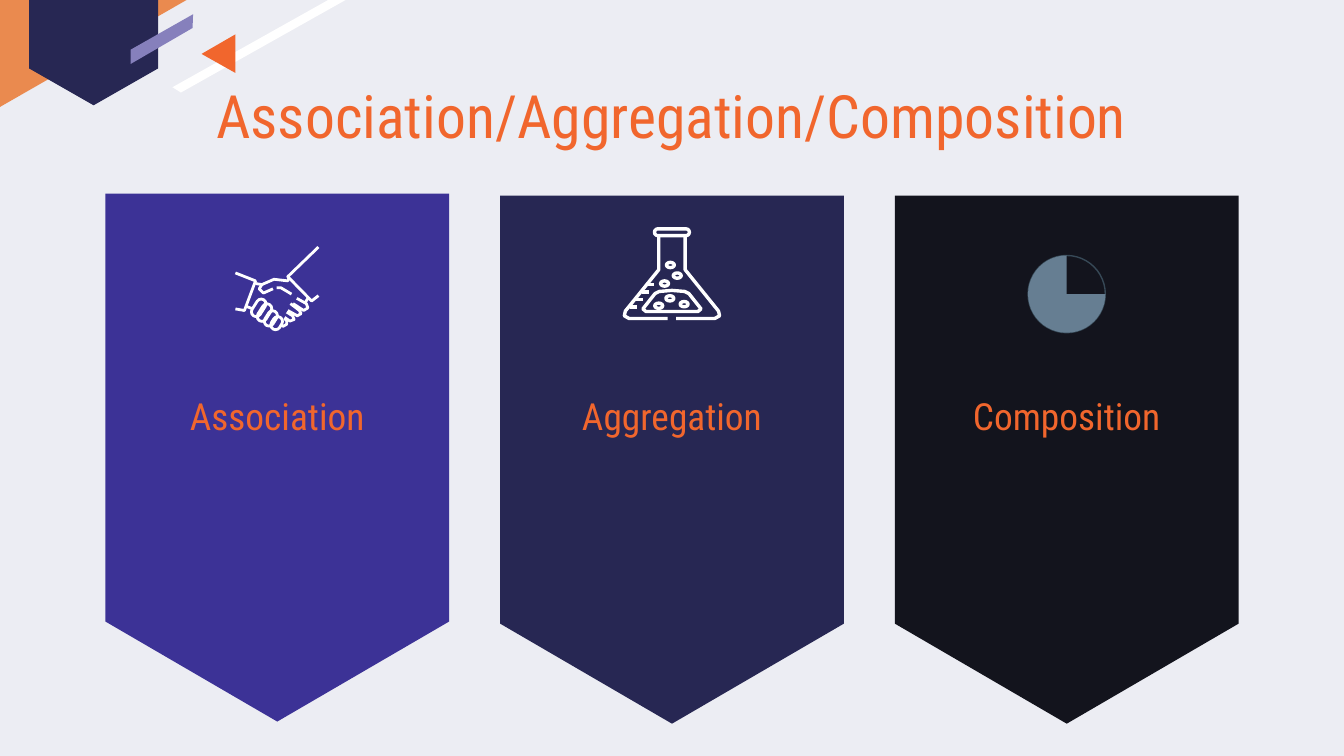
from dataclasses import dataclass
from math import cos, radians, sin

from lxml.etree import SubElement
from pptx import Presentation
from pptx.dml.color import RGBColor
from pptx.enum.shapes import MSO_SHAPE as SHAPE
from pptx.enum.text import MSO_ANCHOR as ANCHOR, MSO_AUTO_SIZE as FIT, PP_ALIGN as ALIGN
from pptx.oxml.ns import qn
from pptx.util import Cm, Pt


@dataclass(frozen=True)
class Theme:
    font: str = "Roboto Condensed"
    title_size: int = 32
    caption_size: int = 20
    paper: str = "ECEDF3"
    white: str = "FFFFFF"
    orange: str = "F1662D"
    apricot: str = "EA8A4F"
    lilac: str = "8680BC"
    violet: str = "3C3296"
    navy: str = "272753"
    black: str = "13141D"
    steel: str = "667E92"
    slate: str = "374957"


def write(tf, text, *, font, size, color, anchor, inset):
    tf.word_wrap = True
    tf.auto_size = FIT.NONE
    tf.vertical_anchor = anchor
    tf.margin_left = tf.margin_right = Cm(0.25)
    tf.margin_top = tf.margin_bottom = Cm(inset)
    p = tf.paragraphs[0]
    p.alignment = ALIGN.CENTER
    p.space_before = Pt(0)
    p.line_spacing = 1.0
    pPr = p._p.get_or_add_pPr()
    pPr.set("marL", "0")
    pPr.set("indent", "0")
    SubElement(pPr, qn("a:buNone"))
    r = p.add_run()
    r.text = text
    r.font.name = font
    r.font.size = Pt(size)
    r.font.bold = False
    r.font.color.rgb = RGBColor.from_string(color)


def capsule(cx, cy, length, width, turn):
    radius, reach = width / 2, (length - width) / 2
    points = []
    for side in (1, -1):
        x = cx + side * reach * cos(radians(turn))
        y = cy + side * reach * sin(radians(turn))
        for step in range(-90, 91, 30):
            angle = radians(turn + step)
            points.append((x + side * radius * cos(angle), y + side * radius * sin(angle)))
    return points + points[:1]


class Deck:
    def __init__(self, theme):
        self.theme = theme
        self.prs = Presentation()
        self.prs.slide_width, self.prs.slide_height = Cm(25.4), Cm(14.29)
        self.s = self.prs.slides.add_slide(self.prs.slide_layouts.get_by_name("Comparison"))
        self.s.background.fill.solid()
        self.s.background.fill.fore_color.rgb = RGBColor.from_string(theme.paper)
        self.shapes = self.s.shapes

    def group(self):
        self.shapes = self.s.shapes.add_group_shape().shapes

    def paint(self, sp, fill, line, width):
        sp.shadow.inherit = False
        if fill:
            sp.fill.solid()
            sp.fill.fore_color.rgb = RGBColor.from_string(fill)
        else:
            sp.fill.background()
        if line:
            sp.line.color.rgb = RGBColor.from_string(line)
            sp.line.width = Pt(width)
        else:
            sp.line.fill.background()

    def shape(self, kind, cx, cy, w, h, *, fill=None, line=None, width=1, turn=0, adj=None):
        sp = self.shapes.add_shape(kind, Cm(cx - w / 2), Cm(cy - h / 2), Cm(w), Cm(h))
        sp.rotation = turn
        if adj is not None:
            sp.adjustments[0] = adj
        self.paint(sp, fill, line, width)

    def outline(self, *contours, fill=None, line=None, width=1):
        builder = None
        for points in contours:
            start, *rest = [(Cm(x), Cm(y)) for x, y in points]
            if builder is None:
                builder = self.shapes.build_freeform(*start)
            else:
                builder.move_to(*start)
            builder.add_line_segments(rest, close=fill is not None or rest[-1] == start)
        self.paint(builder.convert_to_shape(), fill, line, width)

    def placeholder(self, sp, text, x, y, w, h, **style):
        sp.left, sp.top, sp.width, sp.height = Cm(x), Cm(y), Cm(w), Cm(h)
        write(sp.text_frame, text, font=self.theme.font, color=self.theme.orange, **style)
        self.s.shapes._spTree.append(sp._element)

    def corner(self):
        t = self.theme
        self.outline([(-0.03, -0.03), (-0.03, 2.04), (3.58, -0.03)], fill=t.apricot)
        self.outline([(6.65, -0.25), (3.26, 1.65), (3.42, 1.75), (6.8, -0.15)], fill=t.white)
        self.outline([(4.45, 0.65), (4.45, 1.38), (3.81, 1.02)], fill=t.orange)
        self.shape(SHAPE.HEXAGON, 1.77, 0.62, 2.74, 2.44, fill=t.navy, turn=270, adj=0.286)
        self.outline([(2.47, 0.94), (3.65, 0.27), (3.64, 0.53), (2.47, 1.21)], fill=t.lilac)

    def handshake(self):
        self.group()
        pen = dict(line=self.theme.white, width=1.5)
        self.outline([(5.23, 5.44), (5.31, 5.44), (5.51, 5.56)], **pen)
        strokes = [
            [(6.02, 4.67), (5.44, 5.23), (5.89, 5.69), (6.02, 5.59)],
            [(4.45, 5.16), (4.83, 5.31), (4.62, 5.87), (4.45, 5.84)],
            [(4.83, 5.36), (4.95, 5.38), (5.18, 5.28), (5.44, 5.31), (5.46, 5.26)],
            [(4.95, 5.38), (4.9, 5.46), (4.98, 5.54), (5.16, 5.46)],
            [(4.65, 5.79), (4.78, 5.84)],
            [(5.82, 5.64), (5.77, 5.72)],
            [(5.61, 5.64), (5.79, 5.74), (5.82, 5.82), (5.74, 5.87), (5.54, 5.74)],
            [(5.49, 5.74), (5.66, 5.87), (5.69, 5.93), (5.62, 5.97), (5.44, 5.87)],
            [(5.42, 5.9), (5.53, 5.97), (5.56, 6.04), (5.48, 6.07), (5.38, 6)],
            [(5.38, 6.02), (5.42, 6.07), (5.42, 6.13), (5.35, 6.17), (5.3, 6.13)],
        ]
        fingers = [(4.89, 5.82, 0.36), (5, 5.91, 0.36), (5.12, 6.02, 0.31), (5.23, 6.11, 0.26)]
        strokes += [capsule(cx, cy, length, 0.18, 302) for cx, cy, length in fingers]
        self.outline(*strokes, **pen)

    def flask(self):
        self.group()
        axis = 12.7
        pen = dict(line=self.theme.white, width=1.8)
        wall = [(0.08, 6.02), (0.81, 6.02), (0.9, 5.97), (0.88, 5.88), (0.25, 5.1), (0.25, 4.46)]
        liquid = [(0, 5.49), (0.24, 5.51), (0.32, 5.55), (0.55, 5.84), (0.49, 5.89)]
        body = [[(axis + side * dx, y) for dx, y in wall] for side in (-1, 1)]
        body.append(capsule(axis, 4.39, 0.66, 0.13, 0))
        for i in range(4):
            x, y = 12.04 + 0.11 * i, 5.8 - 0.14 * i
            body.append([(x - 0.13, y), (x, y)])
        self.outline(*body, **pen)
        half = [(axis - dx, y) for dx, y in liquid]
        other = [(axis + dx, y) for dx, y in reversed(liquid)]
        self.outline(half + other, **pen)
        for cx, cy in [(12.93, 5.75), (12.45, 5.78), (12.66, 5.64), (12.56, 5.36), (12.8, 5.21), (12.67, 5.01)]:
            self.shape(SHAPE.OVAL, cx, cy, 0.15, 0.1, **pen)

    def pie(self):
        self.group()
        box = (20.16, 5.56, 1.46, 1.46)
        self.shape(SHAPE.OVAL, *box, line=self.theme.slate, width=0.75)
        self.shape(SHAPE.PIE, *box, fill=self.theme.steel)


def main():
    t = Theme()
    deck = Deck(t)
    title, *bodies = deck.s.placeholders
    deck.corner()

    columns = [
        ("Association", t.violet, 8.65),
        ("Aggregation", t.navy, 8.69),
        ("Composition", t.black, 8.69),
    ]
    for i, (text, color, cy) in enumerate(columns):
        cx = 5.24 + 7.46 * i
        deck.shape(SHAPE.PENTAGON, cx, cy, 9.98, 6.5, fill=color, turn=90, adj=0.291)
        deck.placeholder(bodies[i], text, cx - 3.05, 7.39, 6.1, 0.89,
                         size=t.caption_size, anchor=ANCHOR.BOTTOM, inset=0)
    spare = bodies[-1]._element
    spare.getparent().remove(spare)

    deck.placeholder(title, "Association/Aggregation/Composition", 3.24, 1.24, 18.92, 1.6,
                     size=t.title_size, anchor=ANCHOR.TOP, inset=0.25)
    deck.handshake()
    deck.flask()
    deck.pie()
    deck.prs.save("out.pptx")


if __name__ == "__main__":
    main()
